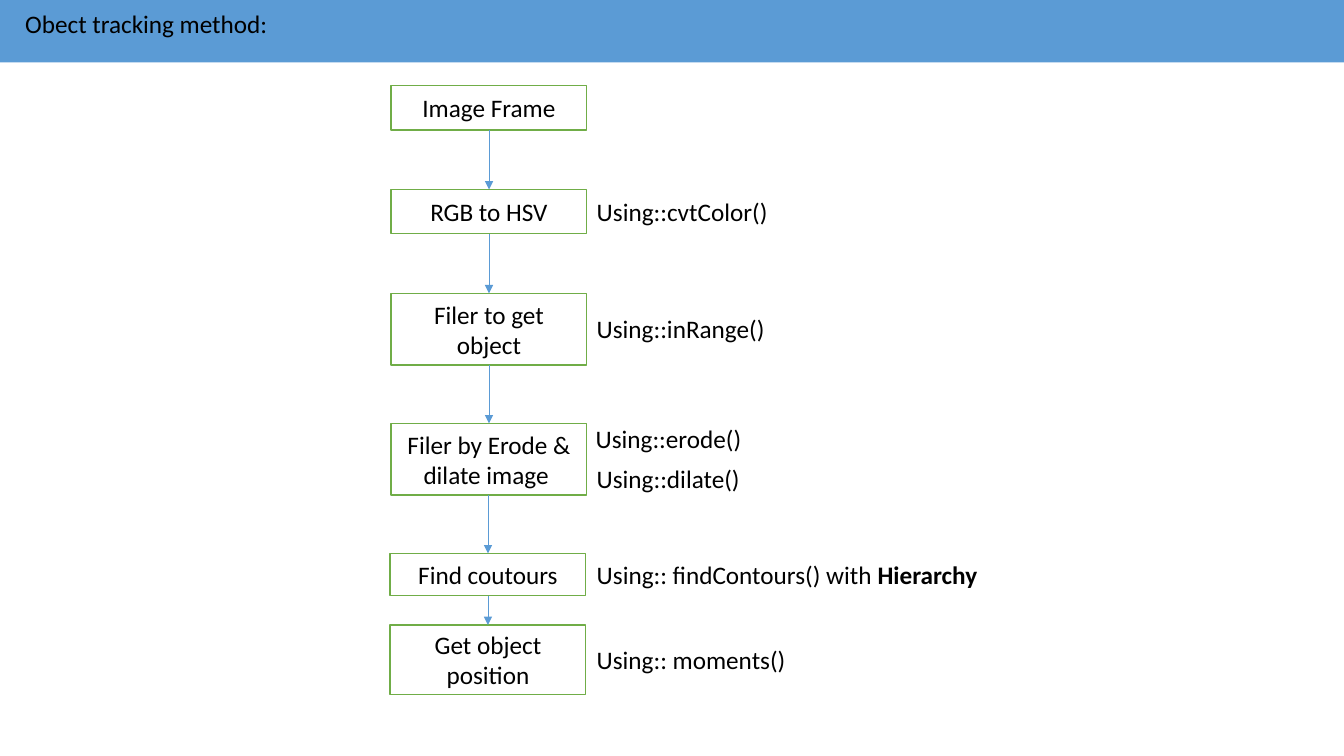
from lxml.etree import SubElement
from pptx import Presentation
from pptx.dml.color import RGBColor
from pptx.enum.shapes import MSO_CONNECTOR, MSO_SHAPE
from pptx.enum.text import MSO_ANCHOR, MSO_AUTO_SIZE, PP_ALIGN
from pptx.oxml.ns import qn
from pptx.util import Inches, Pt

# Content
TITLE = "Obect tracking method:"
# Each step: label, left, top, height
STEPS = [
    ("Image Frame", 3.88, 0.85, 0.44),
    ("RGB to HSV", 3.88, 1.88, 0.44),
    ("Filer to get object", 3.88, 2.91, 0.71),
    ("Filer by Erode & dilate image ", 3.88, 4.2, 0.71),
    ("Find coutours", 3.87, 5.49, 0.42),
    ("Get object position", 3.87, 6.2, 0.69),
]
# Each call: plain text, bold text, left, top, width
CALLS = [
    ("Using::cvtColor()", "", 5.82, 1.9, 2.15),
    ("Using::inRange()", "", 5.82, 3.06, 2.17),
    ("Using::erode()", "", 5.81, 4.15, 1.87),
    ("Using::dilate()", "", 5.82, 4.55, 1.83),
    ("Using:: findContours() with ", "Hierarchy", 5.82, 5.5, 4.29),
    ("Using:: moments()", "", 5.82, 6.34, 2.33),
]

# Style
BLUE, GREEN, WHITE, BLACK = "5B9BD5", "70AD47", "FFFFFF", "000000"
STEP_WIDTH = 1.94
LINE_HEIGHT = 0.4
SLIDE_WIDTH, SLIDE_HEIGHT = 13.33, 7.5


def rgb(hex_code):
    return RGBColor.from_string(hex_code)


def write(shape, text, bold_text="", align=PP_ALIGN.LEFT, anchor=MSO_ANCHOR.TOP):
    frame = shape.text_frame
    frame.word_wrap = True
    frame.auto_size = MSO_AUTO_SIZE.NONE
    frame.vertical_anchor = anchor
    paragraph = frame.paragraphs[0]
    paragraph.alignment = align
    for words, bold in ((text, False), (bold_text, True)):
        if words:
            run = paragraph.add_run()
            run.text = words
            run.font.name = "Calibri"
            run.font.size = Pt(18)
            run.font.bold = bold
            run.font.color.rgb = rgb(BLACK)


def add_box(left, top, width, height, fill, line=None):
    box = slide.shapes.add_shape(MSO_SHAPE.RECTANGLE, Inches(left), Inches(top),
                                 Inches(width), Inches(height))
    box.shadow.inherit = False
    box.fill.solid()
    box.fill.fore_color.rgb = rgb(fill)
    if line:
        box.line.color.rgb = rgb(line)
        box.line.width = Pt(1)
    else:
        box.line.fill.background()
    return box


def add_arrow(x, start, end):
    arrow = slide.shapes.add_connector(MSO_CONNECTOR.STRAIGHT, Inches(x), Inches(start),
                                       Inches(x), Inches(end))
    arrow.line.color.rgb = rgb(BLUE)
    arrow.line.width = Pt(0.5)
    SubElement(arrow.line._get_or_add_ln(), qn("a:tailEnd"), type="triangle")
    SubElement(arrow._element.spPr, qn("a:effectLst"))


prs = Presentation()
prs.slide_width, prs.slide_height = Inches(SLIDE_WIDTH), Inches(SLIDE_HEIGHT)
slide = prs.slides.add_slide(prs.slide_layouts[5])

# Title on its banner
title = slide.shapes.title
title.left, title.top = Inches(0.15), Inches(0.03)
title.width, title.height = Inches(2.81), Inches(LINE_HEIGHT)
write(title, TITLE)
banner = add_box(0, 0, SLIDE_WIDTH, 0.62, BLUE)
title.element.addprevious(banner.element)

# Steps of the flow
for label, left, top, height in STEPS:
    step = add_box(left, top, STEP_WIDTH, height, WHITE, GREEN)
    write(step, label, align=PP_ALIGN.CENTER, anchor=MSO_ANCHOR.MIDDLE)

# Arrows from each step down to the next
for (_, _, top, height), (_, next_left, next_top, _) in zip(
        [step for step in STEPS], STEPS[1:]):
    add_arrow(next_left + STEP_WIDTH / 2, top + height, next_top)

# Function calls beside the steps
for text, bold_text, left, top, width in CALLS:
    call = slide.shapes.add_textbox(Inches(left), Inches(top), Inches(width),
                                    Inches(LINE_HEIGHT))
    write(call, text, bold_text)

prs.save("out.pptx")
